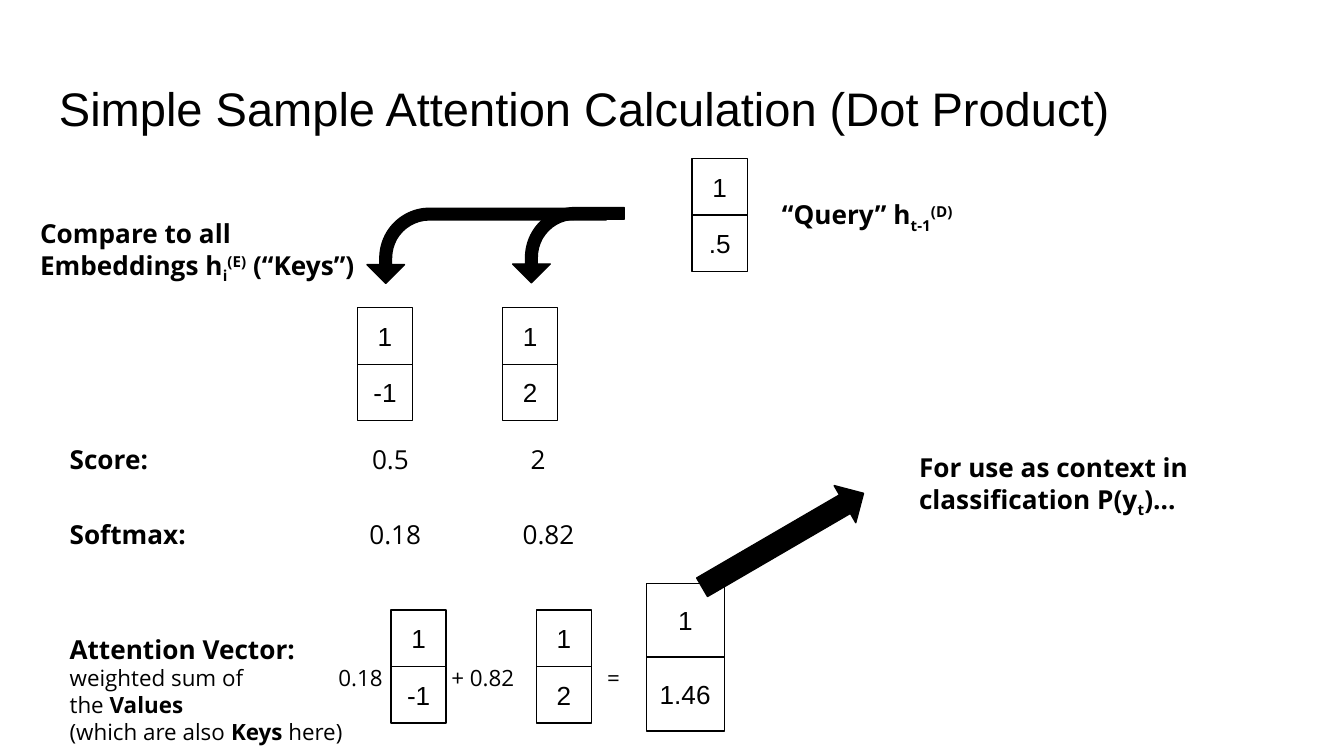
from dataclasses import dataclass

from lxml.etree import SubElement
from pptx import Presentation
from pptx.dml.color import RGBColor
from pptx.enum.shapes import MSO_SHAPE as Preset
from pptx.enum.text import MSO_ANCHOR as Anchor, PP_ALIGN as Align
from pptx.oxml.ns import qn
from pptx.util import Inches, Pt


@dataclass(frozen=True)
class Theme:
    ink: RGBColor = RGBColor(0, 0, 0)
    body_font: str = "Open Sans"
    number_font: str = "Arial"
    title_size: float = 25.2
    body_size: float = 14
    note_size: float = 12
    line_width: float = 0.75


THEME = Theme()
BOLD, SUB, SUPER = "bold", -25000, 30000
CELL_WIDTH, CELL_HEIGHT = 0.41, 0.42


def style_font(para, size, name):
    para.font.size = Pt(size)
    para.font.name = name
    para.font.color.rgb = THEME.ink


def set_insets(frame):
    frame.margin_left = frame.margin_right = Inches(0.1)
    frame.margin_top = frame.margin_bottom = Inches(0.1)


def add_tabs(para, stops):
    tab_list = SubElement(para._p.get_or_add_pPr(), qn("a:tabLst"))
    for stop in stops:
        SubElement(tab_list, qn("a:tab"), pos=str(Inches(stop)), algn="l")


def fill_para(para, spans, size=THEME.body_size, name=THEME.body_font, tabs=()):
    """Each span is a text followed by any of BOLD, SUB and SUPER."""
    if tabs:
        add_tabs(para, tabs)
    style_font(para, size, name)
    for text, *marks in spans:
        span = para.add_run()
        span.text = text
        if BOLD in marks:
            span.font.bold = True
        for shift in (SUB, SUPER):
            if shift in marks:
                span.font._element.set("baseline", str(shift))


def add_text(page, left, top, width, height):
    box = page.shapes.add_textbox(*map(Inches, (left, top, width, height)))
    frame = box.text_frame
    frame.word_wrap = True
    set_insets(frame)
    return frame


def add_label(page, place, spans, **style):
    frame = add_text(page, *place)
    fill_para(frame.paragraphs[0], spans, **style)
    return frame.paragraphs[0]


def add_preset(page, preset, left, top, width, height):
    shape = page.shapes.add_shape(preset, *map(Inches, (left, top, width, height)))
    shape.shadow.inherit = False
    shape.line.color.rgb = THEME.ink
    shape.line.width = Pt(THEME.line_width)
    return shape


def add_vector(page, left, top, values, width=CELL_WIDTH, height=CELL_HEIGHT):
    for row, value in enumerate(values):
        cell = add_preset(page, Preset.RECTANGLE, left, top + row * height, width, height)
        cell.fill.background()
        frame = cell.text_frame
        frame.word_wrap = False
        frame.vertical_anchor = Anchor.MIDDLE
        set_insets(frame)
        para = frame.paragraphs[0]
        para.alignment = Align.LEFT if len(value) > 2 else Align.CENTER
        fill_para(para, [(value,)], name=THEME.number_font)


def add_arrow(page, preset, place, rotation, adjustments, flip=False):
    arrow = add_preset(page, preset, *place)
    arrow.fill.solid()
    arrow.fill.fore_color.rgb = THEME.ink
    arrow.rotation = rotation
    for index, value in enumerate(adjustments):
        arrow.adjustments[index] = value
    if flip:
        arrow._element.spPr.find(qn("a:xfrm")).set("flipH", "1")


def add_attention_text(page):
    lines = [
        [("weighted sum of\t0.18\t+ 0.82\t=",)],
        [("the ",), ("Values", BOLD)],
        [("(which are also ",), ("Keys", BOLD), (" here)",)],
    ]
    frame = add_text(page, 0.42, 4.61, 6.56, 0.41)
    fill_para(frame.paragraphs[0], [("Attention Vector:", BOLD)])
    for index, spans in enumerate(lines):
        tabs = () if index else (2, 2.84, 4)
        fill_para(frame.add_paragraph(), spans, size=THEME.note_size, tabs=tabs)


def main():
    # Widescreen page, 16 to 9
    deck = Presentation()
    deck.slide_width = Inches(10)
    deck.slide_height = deck.slide_width * 9 // 16
    page = deck.slides.add_slide(deck.slide_layouts[6])

    # Title
    add_label(page, (0.34, 0.49, 9.32, 0.63),
              [("Simple Sample Attention Calculation (Dot Product)",)],
              size=THEME.title_size, name=THEME.number_font)

    # Query and keys
    add_vector(page, 5.15, 1.18, ("1", ".5"))
    keys = [("1", "-1"), ("1", "2")]
    for column, key in enumerate(keys):
        add_vector(page, 2.66 + 1.08 * column, 2.29, key)

    # Scores
    add_label(page, (0.42, 3.2, 6.56, 0.41),
              [("Score:", BOLD), ("\t0.5\t2",)], tabs=(2.25, 3.43))
    add_label(page, (0.42, 3.76, 6.56, 0.41),
              [("Softmax:", BOLD), ("\t0.18\t0.82",)], tabs=(2.23, 3.37))

    # Attention vector and its use
    add_vector(page, 4.81, 4.34, ("1", "1.46"), width=0.58, height=0.55)
    add_attention_text(page)
    add_arrow(page, Preset.RIGHT_ARROW, (5.13, 3.86, 1.39, 0.32), 329.8, (0.5, 0.5))
    add_label(page, (6.74, 3.26, 2.34, 1.1),
              [("For use as context in classification P(y", BOLD),
               ("t", BOLD, SUB), (")...", BOLD)])

    # Comparison of the query with each key
    query = add_label(page, (5.72, 1.34, 3.13, 1.1),
                      [("“Query” h", BOLD), ("t-1", BOLD, SUB), ("(D)", BOLD, SUPER)])
    query.line_spacing = 1.15
    query.space_after = Pt(16)
    for place in ((3.95, 1.41, 0.56, 0.83), (3.34, 0.94, 0.56, 1.78)):
        add_arrow(page, Preset.BENT_ARROW, place, 270, (0.155, 0.25, 0.25, 0.66), flip=True)
    add_label(page, (0.2, 1.52, 2.8, 0.42),
              [("Compare to all Embeddings h", BOLD), ("i", BOLD, SUB),
               ("(E)", BOLD, SUPER), (" (“Keys”)", BOLD)])

    # Values in the weighted sum
    for column, key in enumerate(keys):
        add_vector(page, 2.91 + 1.08 * column, 4.54, key)

    deck.save("out.pptx")


if __name__ == "__main__":
    main()
